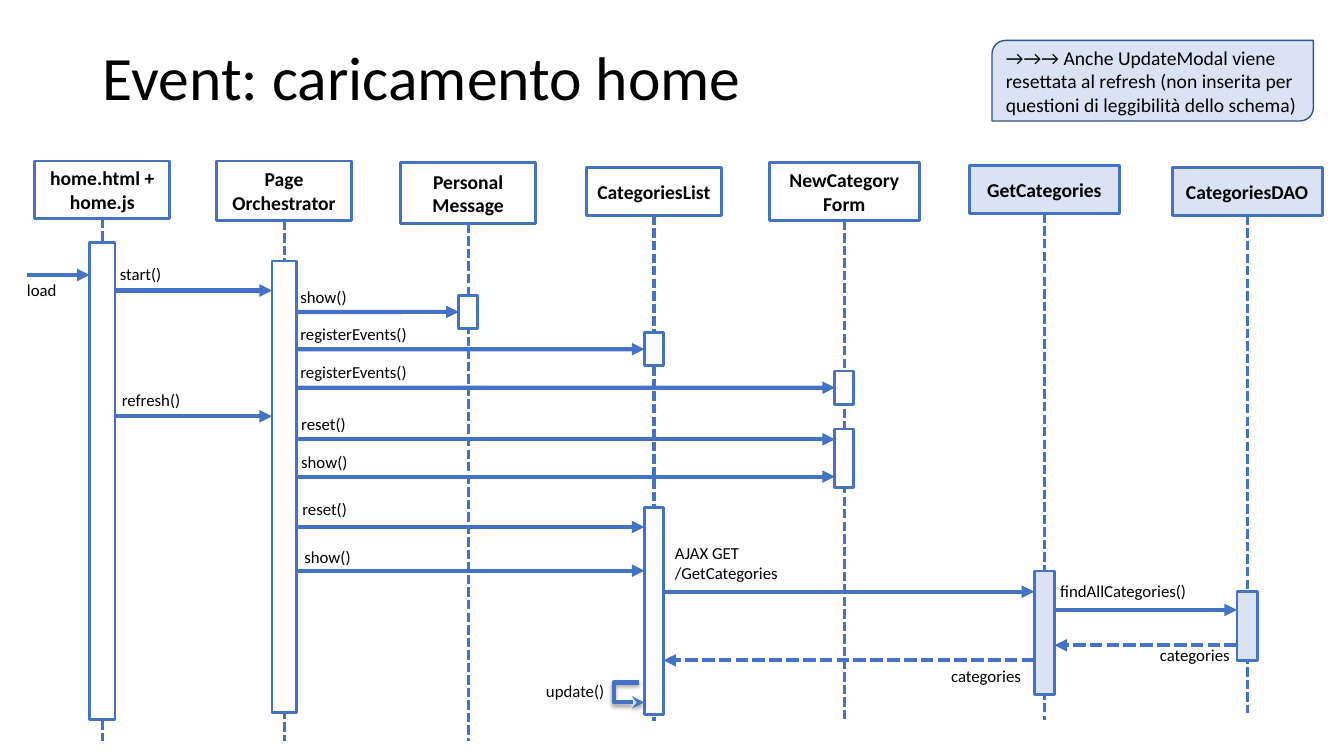
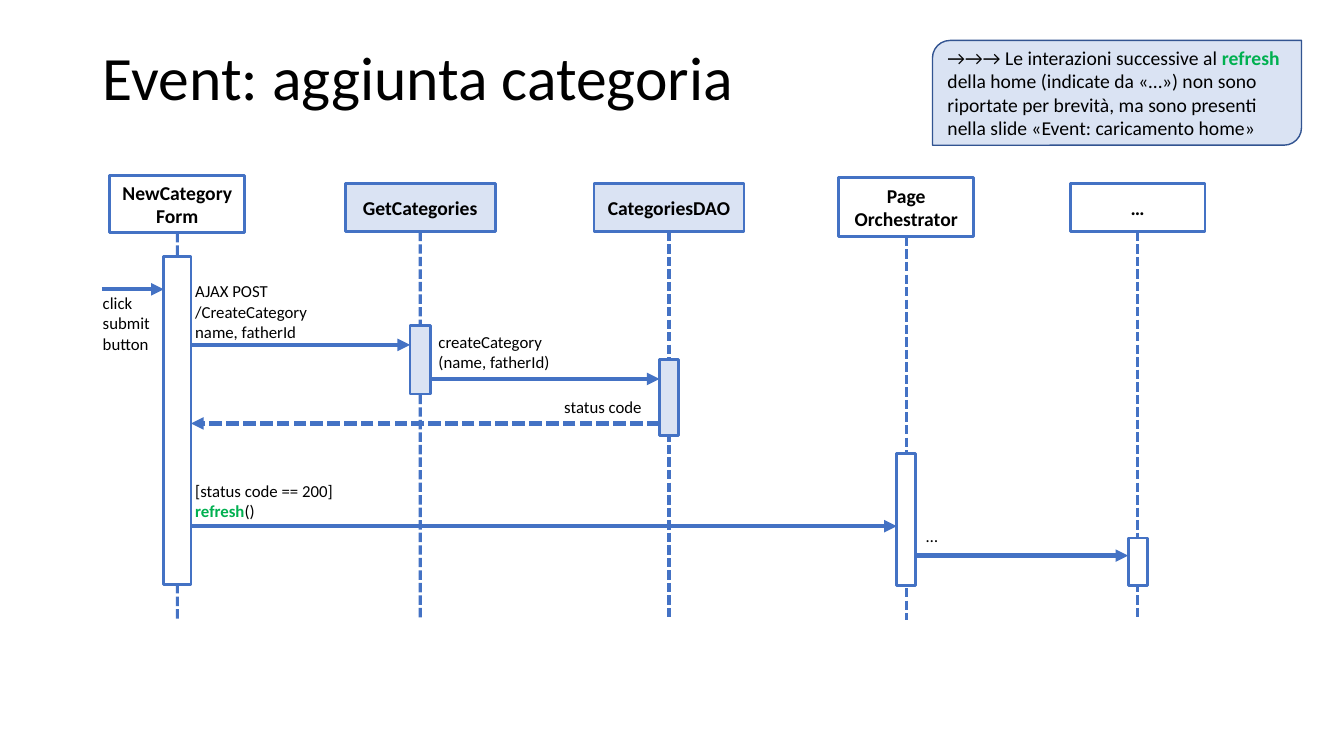
import pptx
import pptx.util
import pptx.dml.color
import pptx.enum.dml
import pptx.enum.shapes
import pptx.enum.text
import pptx.oxml
import pptx.oxml.ns
from pptx.util import Cm

BLUE, PALE, WHITE, BLACK = "4472C4", "DAE3F3", "FFFFFF", "000000"
NOTE_EDGE, ACCENT = "325491", "00B050"
FONT = "Calibri"
TITLE_BOX = (2.34, 1.02, 29.21, 2.03)
LEFT, RIGHT, BOTTOM = 1, 3, 2
ALIGN = pptx.enum.text.PP_ALIGN
SHAPE = pptx.enum.shapes.MSO_SHAPE
CONNECTOR = pptx.enum.shapes.MSO_CONNECTOR

# participants: label, axis, head (top, width, height), fill, axis end, bar width, bars (top, bottom)
# messages: sender or outside x, receiver, y, label, label (left, top, width), dashed
DIAGRAMS = [
    {
        "title": "Event: caricamento home",
        "note": ("→→→ Anche UpdateModal viene resettata al refresh (non inserita "
                 "per questioni di leggibilità dello schema)", (25, 1.02, 8.1, 2.03)),
        "participants": {
            "home": ("home.html + home.js", 2.58, (4.06, 3.4, 1.45), None, 18.67, 0.64, [(6.12, 18.14)]),
            "page": ("Page Orchestrator", 7.16, (4.06, 3.4, 1.5), None, 18.67, 0.61, [(6.58, 17.96)]),
            "message": ("Personal Message", 11.8, (4.09, 3.4, 1.55), None, 18.67, 0.48, [(7.44, 8.28)]),
            "list": ("CategoriesList", 16.48, (4.22, 3.4, 1.22), None, 18.16, 0.48,
                     [(8.38, 9.22), (12.78, 18.01)]),
            "form": ("NewCategory Form", 21.28, (4.09, 3.78, 1.47), None, 18.16, 0.48,
                     [(9.35, 10.19), (10.81, 12.28)]),
            "get": ("GetCategories", 26.32, (4.17, 3.78, 1.22), PALE, 18.14, 0.51, [(14.39, 17.51)]),
            "dao": ("CategoriesDAO", 31.43, (4.22, 3.78, 1.22), PALE, 17.96, 0.51, [(14.91, 16.64)]),
        },
        "messages": [
            (0.69, "home", 6.93, "load", (0.43, 6.93, 1.85), False),
            ("home", "page", 7.32, "start()", (2.77, 6.53, 1.75), False),
            ("page", "message", 7.86, "show()", (7.32, 7.11, 2.08), False),
            ("page", "list", 8.8, "registerEvents()", (7.32, 8.03, 3.33), False),
            ("page", "form", 9.77, "registerEvents()", (7.32, 8.99, 3.33), False),
            ("home", "page", 10.49, "refresh()", (2.82, 9.7, 2.36), False),
            ("page", "form", 11.07, "reset()", (7.34, 10.31, 2.97), False),
            ("page", "form", 12.01, "show()", (7.34, 11.25, 2.97), False),
            ("page", "list", 13.28, "reset()", (7.37, 12.45, 2.97), False),
            ("page", "list", 14.38, "show()", (7.42, 13.64, 2.97), False),
            ("list", "get", 14.91, "AJAX GET\n/GetCategories", (16.76, 13.56, 4.14), False),
            ("get", "dao", 15.37, "findAllCategories()", (26.47, 14.5, 3.78), False),
            ("dao", "get", 16.26, "categories", (28.98, 16.13, 2.54), True),
            ("get", "list", 16.64, "categories", (23.72, 16.64, 2.54), True),
        ],
        "self_calls": [("list", 17.2, 17.7, "update()", (13.51, 17.04, 2.26))],
    },
    {
        "title": "Event: aggiunta categoria",
        "note": ("→→→ Le interazioni successive al *refresh* della home (indicate da «…») "
                 "non sono riportate per brevità, ma sono presenti nella slide "
                 "«Event: caricamento home»", (23.5, 1.02, 9.3, 2.64)),
        "participants": {
            "form": ("NewCategory\nForm", 4.47, (4.42, 3.4, 1.45), None, 15.62, 0.69, [(6.46, 14.74)]),
            "get": ("GetCategories", 10.59, (4.62, 3.78, 1.22), PALE, 15.62, 0.51, [(8.2, 9.93)]),
            "dao": ("CategoriesDAO", 16.86, (4.62, 3.78, 1.22), PALE, 15.62, 0.48, [(9.07, 10.97)]),
            "page": ("Page Orchestrator", 22.84, (4.47, 3.4, 1.5), None, 15.62, 0.48, [(11.43, 14.76)]),
            "rest": ("…", 28.67, (4.62, 3.4, 1.22), None, 15.62, 0.48, [(13.56, 14.76)]),
        },
        "messages": [
            (2.57, "form", 7.29, "click\nsubmit\nbutton", (2.34, 7.26, 1.85), False),
            ("form", "get", 8.69, "AJAX POST\n/CreateCategory\nname, fatherId", (4.67, 6.96, 3.63), False),
            ("get", "dao", 9.55, "createCategory\n(name, fatherId)", (10.8, 8.23, 3.63), False),
            ("dao", "form", 10.67, "status code", (13.97, 9.88, 2.74), True),
            ("form", "page", 13.26, "[status code == 200]\n*refresh*()", (4.67, 11.99, 4.14), False),
            ("page", "rest", 14, "…", (23.09, 13.13, 4.14), False),
        ],
        "self_calls": [],
    },
]


def color(hex_code):
    return pptx.dml.color.RGBColor.from_string(hex_code)


def write(frame, text, size=12, bold=False, align=ALIGN.LEFT, anchor="TOP", spacing=None):
    frame.word_wrap = True
    frame.auto_size = pptx.enum.text.MSO_AUTO_SIZE.NONE
    frame.vertical_anchor = getattr(pptx.enum.text.MSO_ANCHOR, anchor)
    for row, line in enumerate(text.split("\n")):
        paragraph = frame.add_paragraph() if row else frame.paragraphs[0]
        paragraph.alignment = align
        paragraph.line_spacing = spacing
        for piece, words in enumerate(line.split("*")):
            if not words:
                continue
            accented = piece % 2 == 1
            run = paragraph.add_run()
            run.text = words
            run.font.name = FONT
            run.font.size = pptx.util.Pt(size)
            run.font.bold = bold or accented
            run.font.color.rgb = color(ACCENT if accented else BLACK)


def add_box(slide, box, fill=None, edge=BLUE, weight=2, kind=SHAPE.RECTANGLE):
    shape = slide.shapes.add_shape(kind, *map(Cm, box))
    shape.shadow.inherit = False
    if fill:
        shape.fill.solid()
        shape.fill.fore_color.rgb = color(fill)
    else:
        shape.fill.background()
    shape.line.color.rgb = color(edge)
    shape.line.width = pptx.util.Pt(weight)
    return shape


def add_label(slide, text, left, top, width):
    height = 0.25 + 0.51 * (text.count("\n") + 1)
    label = slide.shapes.add_textbox(Cm(left), Cm(top), Cm(width), Cm(height))
    write(label.text_frame, text)


def add_line(slide, start, end, weight=3, dashed=False, arrow="triangle", kind=CONNECTOR.STRAIGHT):
    line = slide.shapes.add_connector(kind, *map(Cm, start + end))
    line.line.color.rgb = color(BLUE)
    line.line.width = pptx.util.Pt(weight)
    if dashed:
        line.line.dash_style = pptx.enum.dml.MSO_LINE.SQUARE_DOT
    if arrow:
        add_xml(line.line._get_or_add_ln(), f'<a:tailEnd {{ns}} type="{arrow}"/>')
    add_xml(line._element.spPr, "<a:effectLst {ns}/>")
    return line


def add_xml(parent, markup):
    parent.append(pptx.oxml.parse_xml(markup.format(ns=pptx.oxml.ns.nsdecls("a"))))


def add_participant(slide, label, axis, head, fill, end, bar_width, bars):
    top, width, height = head
    head_box = add_box(slide, (axis - width / 2, top, width, height), fill)
    write(head_box.text_frame, label, size=14, bold=True, align=ALIGN.CENTER, anchor="MIDDLE")
    lifeline = add_line(slide, (axis, top + height), (axis, end), weight=2.25, dashed=True, arrow=None)
    lifeline.begin_connect(head_box, BOTTOM)
    return [
        (first, last, axis, bar_width / 2,
         add_box(slide, (axis - bar_width / 2, first, bar_width, last - first), fill or WHITE))
        for first, last in bars
    ]


def bar_at(bars, y):
    return next(bar for bar in bars if bar[0] <= y <= bar[1])


def add_message(slide, bars, sender, receiver, y, label, label_box, dashed):
    first, last, axis, half, target = bar_at(bars[receiver], y)
    if sender in bars:
        source_axis, source_half = bar_at(bars[sender], y)[2:4]
        direction = 1 if axis > source_axis else -1
        start = source_axis + direction * source_half
    else:
        start, direction = sender, 1
    arrow = add_line(slide, (start, y), (axis - direction * half, y), dashed=dashed)
    if abs(y - (first + last) / 2) < 0.01:
        arrow.end_connect(target, LEFT if direction > 0 else RIGHT)
    add_label(slide, label, *label_box)


def add_self_call(slide, bars, owner, leave, back, label, label_box):
    axis, half = bar_at(bars[owner], leave)[2:4]
    edge = axis - half
    loop = add_line(slide, (edge - 0.13, leave), (edge, back), arrow="stealth", kind=CONNECTOR.ELBOW)
    properties = loop._element.spPr
    add_xml(properties.find(pptx.oxml.ns.qn("a:prstGeom")).find(pptx.oxml.ns.qn("a:avLst")),
            '<a:gd {ns} name="adj1" fmla="val -490000"/>')
    add_xml(properties.find(pptx.oxml.ns.qn("a:effectLst")),
            '<a:outerShdw {ns} blurRad="39370" dist="20320" dir="5400000">'
            '<a:srgbClr val="000000"><a:alpha val="38000"/></a:srgbClr></a:outerShdw>')
    add_label(slide, label, *label_box)


def add_diagram(deck, layout, diagram):
    slide = deck.slides.add_slide(layout)
    title = slide.shapes.title
    title.left, title.top, title.width, title.height = map(Cm, TITLE_BOX)
    write(title.text_frame, diagram["title"], size=44, anchor="MIDDLE", spacing=0.9)
    bars = {name: add_participant(slide, *participant)
            for name, participant in diagram["participants"].items()}
    for message in diagram["messages"]:
        add_message(slide, bars, *message)
    for call in diagram["self_calls"]:
        add_self_call(slide, bars, *call)
    remark, remark_box = diagram["note"]
    note = add_box(slide, remark_box, PALE, NOTE_EDGE, 1, SHAPE.ROUND_2_DIAG_RECTANGLE)
    write(note.text_frame, remark, size=14, anchor="MIDDLE")


def main():
    deck = pptx.Presentation()
    deck.slide_width, deck.slide_height = Cm(33.87), Cm(19.05)
    for diagram in DIAGRAMS:
        add_diagram(deck, deck.slide_layouts[5], diagram)
    deck.save("out.pptx")


if __name__ == "__main__":
    main()
